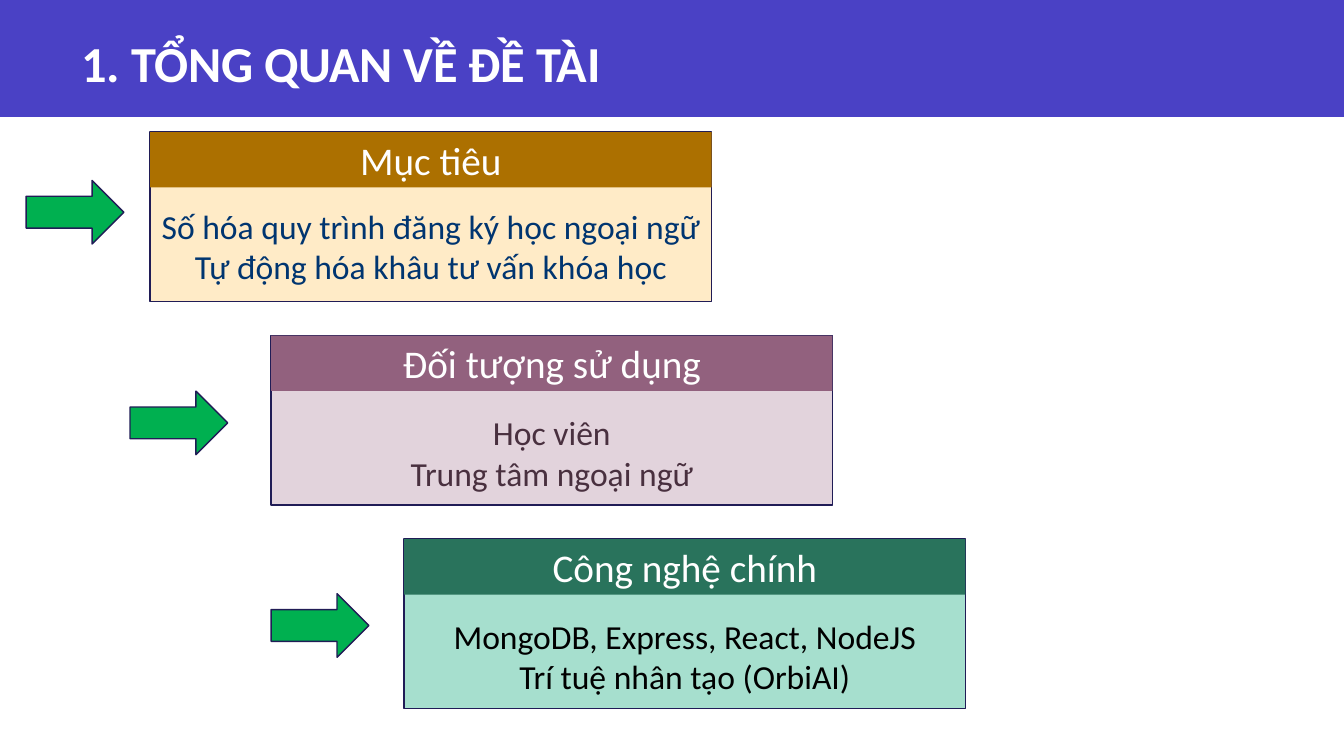
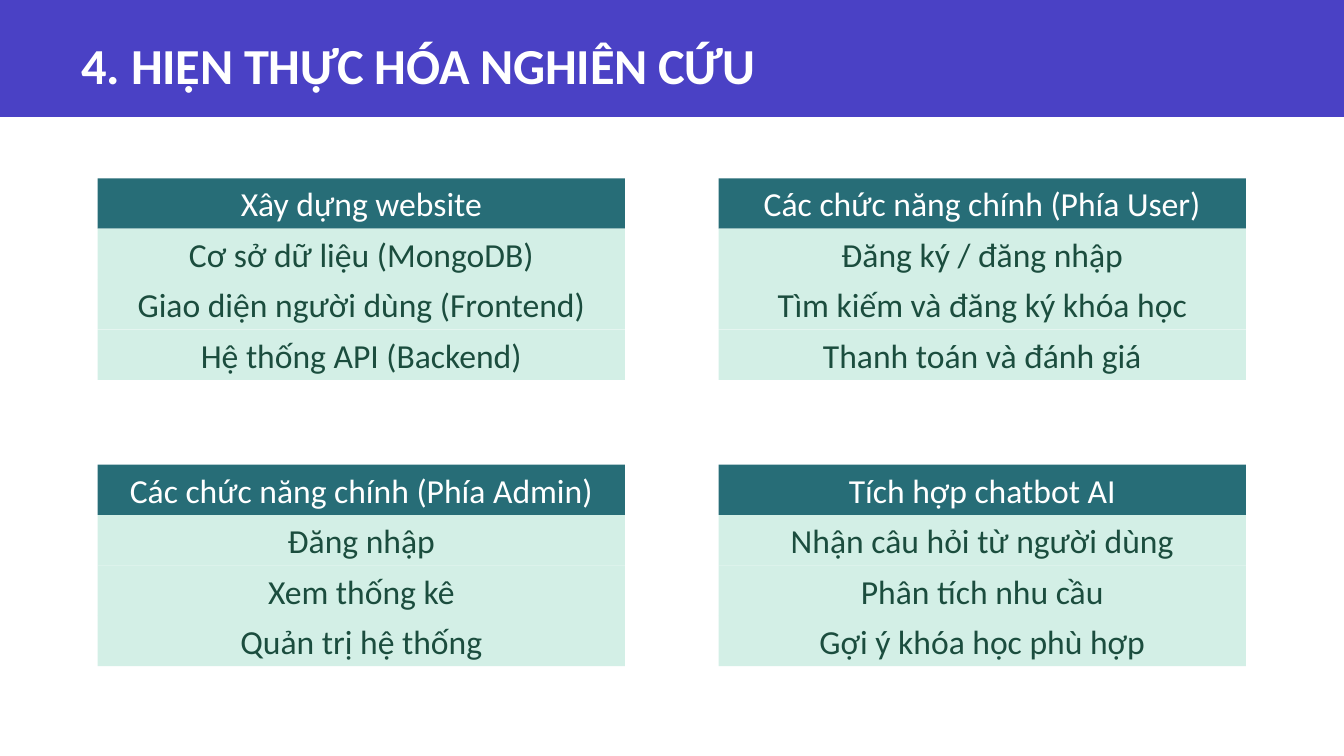
from dataclasses import dataclass

from lxml import etree
from pptx import Presentation
from pptx.dml.color import RGBColor
from pptx.enum.shapes import MSO_SHAPE
from pptx.enum.text import MSO_ANCHOR, MSO_AUTO_SIZE, PP_ALIGN
from pptx.oxml.ns import qn
from pptx.shapes.autoshape import Shape
from pptx.shapes.shapetree import GroupShapes, SlideShapes
from pptx.slide import Slide
from pptx.text.text import TextFrame
from pptx.util import Pt

RECTANGLE = MSO_SHAPE.RECTANGLE
FOLDED_CORNER = MSO_SHAPE.FOLDED_CORNER
RIGHT_ARROW = MSO_SHAPE.RIGHT_ARROW
TOP, MIDDLE, BOTTOM = MSO_ANCHOR.TOP, MSO_ANCHOR.MIDDLE, MSO_ANCHOR.BOTTOM
LEFT, CENTER = PP_ALIGN.LEFT, PP_ALIGN.CENTER
NO_AUTOFIT = MSO_AUTO_SIZE.NONE
TITLE_ONLY = 5


@dataclass(frozen=True)
class Theme:
    font: str = "Calibri"
    title_size: float = 36
    heading_size: float = 28
    body_size: float = 24
    title_spacing: str = "-20"
    band: str = "4A41C5"
    on_dark: str = "FFFFFF"
    outline: str = "201C56"
    arrow: str = "00B050"
    list_head: str = "276D77"
    list_row: str = "D3EFE6"
    list_text: str = "1B4D3E"


@dataclass(frozen=True)
class Box:
    left: float
    top: float
    width: float
    height: float

    def lengths(self) -> tuple[Pt, Pt, Pt, Pt]:
        return Pt(self.left), Pt(self.top), Pt(self.width), Pt(self.height)


@dataclass(frozen=True)
class Topic:
    heading: str
    lines: tuple[str, ...]
    left: float
    text_offset: float
    arrow_left: float
    arrow_top: float
    head_fill: str
    body_fill: str
    text_color: str


@dataclass(frozen=True)
class FeatureList:
    heading: str
    rows: tuple[str, ...]


THEME = Theme()
SLIDE_WIDTH, SLIDE_HEIGHT = 960, 540
BAND = Box(0, 0, SLIDE_WIDTH, 83.5)
TITLE_LEFT, TITLE_WIDTH = 51.1, 848.9

CARD_TOP, CARD_STEP = 94.3, 145.4
CARD_WIDTH, CARD_HEIGHT = 401, 121
CARD_HEAD_HEIGHT, CARD_TEXT_HEIGHT = 39.6, 65.5
ARROW_WIDTH, ARROW_HEIGHT = 69.8, 45.4

LIST_LEFT, LIST_TOP = 69.8, 127.4
LIST_COLUMN_STEP, LIST_ROW_STEP = 443.5, 204.5
LIST_WIDTH, LIST_ROW_HEIGHT = 376.6, 36
LIST_COLUMNS = 2

TOPICS = (
    Topic("Mục tiêu",
          ("Số hóa quy trình đăng ký học ngoại ngữ", "Tự động hóa khâu tư vấn khóa học"),
          107.3, 49, 18.7, 128.9, "AC7000", "FFEBC7", "003570"),
    Topic("Đối tượng sử dụng",
          ("Học viên", "Trung tâm ngoại ngữ"),
          193.7, 51.1, 92.9, 279.4, "92617E", "E2D3DC", "49303F"),
    Topic("Công nghệ chính",
          ("MongoDB, Express, React, NodeJS", "Trí tuệ nhân tạo (OrbiAI)"),
          288.7, 51.1, 193.7, 424.1, "29735C", "A6DFCE", "000000"),
)

FEATURE_LISTS = (
    FeatureList("Xây dựng website",
                ("Cơ sở dữ liệu (MongoDB)", "Giao diện người dùng (Frontend)",
                 "Hệ thống API (Backend)")),
    FeatureList("Các chức năng chính (Phía User)",
                ("Đăng ký / đăng nhập", "Tìm kiếm và đăng ký khóa học",
                 "Thanh toán và đánh giá")),
    FeatureList("Các chức năng chính (Phía Admin)",
                ("Đăng nhập", "Xem thống kê", "Quản trị hệ thống")),
    FeatureList("Tích hợp chatbot AI",
                ("Nhận câu hỏi từ người dùng", "Phân tích nhu cầu",
                 "Gợi ý khóa học phù hợp")),
)


def write_lines(frame: TextFrame, lines: tuple[str, ...], size: float, color: str,
                anchor: MSO_ANCHOR = MIDDLE, align: PP_ALIGN = CENTER,
                bold: bool = False) -> None:
    frame_format = {"word_wrap": True, "auto_size": NO_AUTOFIT, "vertical_anchor": anchor,
                    "margin_left": 0, "margin_right": 0}
    font_format = {"name": THEME.font, "size": Pt(size), "bold": bold}
    for attribute, value in frame_format.items():
        setattr(frame, attribute, value)
    for index, line in enumerate(lines):
        paragraph = frame.paragraphs[0] if index == 0 else frame.add_paragraph()
        paragraph.alignment = align
        run = paragraph.add_run()
        run.text = line
        for attribute, value in font_format.items():
            setattr(run.font, attribute, value)
        run.font.color.rgb = RGBColor.from_string(color)


def draw_shape(shapes: SlideShapes | GroupShapes, preset: MSO_SHAPE, box: Box,
               fill: str, outlined: bool = False) -> Shape:
    drawn = shapes.add_shape(preset, *box.lengths())
    drawn.shadow.inherit = False
    drawn.fill.solid()
    drawn.fill.fore_color.rgb = RGBColor.from_string(fill)
    if outlined:
        drawn.line.color.rgb = RGBColor.from_string(THEME.outline)
        drawn.line.width = Pt(1)
    else:
        drawn.line.fill.background()
    return drawn


def flatten_fold(panel: Shape) -> None:
    geometry = next(panel.element.iter(qn("a:prstGeom")))
    guides = geometry.find(qn("a:avLst"))
    if guides is None:
        guides = etree.SubElement(geometry, qn("a:avLst"))
    etree.SubElement(guides, qn("a:gd"), name="adj", fmla="val 0")


def set_title(slide: Slide, text: str, top: float, height: float) -> None:
    title = slide.shapes.title
    box = Box(TITLE_LEFT, top, TITLE_WIDTH, height)
    for attribute, value in zip(("left", "top", "width", "height"), box.lengths()):
        setattr(title, attribute, value)
    frame = title.text_frame
    write_lines(frame, (text,), THEME.title_size, THEME.on_dark, BOTTOM, LEFT, True)
    margins = {"margin_left": Pt(7.2), "margin_top": 0, "margin_bottom": 0}
    for attribute, value in margins.items():
        setattr(frame, attribute, value)
    run = frame.paragraphs[0].runs[0]
    run._r.get_or_add_rPr().set("spc", THEME.title_spacing)


def draw_topic(slide: Slide, topic: Topic, top: float) -> None:
    card = slide.shapes.add_group_shape().shapes
    panel = draw_shape(card, FOLDED_CORNER, Box(topic.left, top, CARD_WIDTH, CARD_HEIGHT),
                       topic.body_fill, True)
    flatten_fold(panel)
    head = draw_shape(card, RECTANGLE, Box(topic.left, top, CARD_WIDTH, CARD_HEAD_HEIGHT),
                      topic.head_fill)
    write_lines(head.text_frame, (topic.heading,), THEME.heading_size, THEME.on_dark)
    text_box = Box(topic.left, top + topic.text_offset, CARD_WIDTH, CARD_TEXT_HEIGHT)
    details = card.add_textbox(*text_box.lengths())
    write_lines(details.text_frame, topic.lines, THEME.body_size, topic.text_color, TOP)


def draw_feature_list(slide: Slide, features: FeatureList, left: float, top: float) -> None:
    group = slide.shapes.add_group_shape().shapes
    for index, text in enumerate((features.heading, *features.rows)):
        fill, color = ((THEME.list_head, THEME.on_dark) if index == 0
                       else (THEME.list_row, THEME.list_text))
        row = draw_shape(group, RECTANGLE,
                         Box(left, top + index * LIST_ROW_HEIGHT, LIST_WIDTH, LIST_ROW_HEIGHT),
                         fill)
        write_lines(row.text_frame, (text,), THEME.body_size, color)


def build_overview(slide: Slide) -> None:
    set_title(slide, "1. TỔNG QUAN VỀ ĐỀ TÀI", 20.9, 45.4)
    for index, topic in enumerate(TOPICS):
        draw_topic(slide, topic, CARD_TOP + index * CARD_STEP)
    for topic in TOPICS:
        draw_shape(slide.shapes, RIGHT_ARROW,
                   Box(topic.arrow_left, topic.arrow_top, ARROW_WIDTH, ARROW_HEIGHT),
                   THEME.arrow, True)


def build_implementation(slide: Slide) -> None:
    set_title(slide, "4. HIỆN THỰC HÓA NGHIÊN CỨU", 17.3, 50)
    for index, features in enumerate(FEATURE_LISTS):
        row, column = divmod(index, LIST_COLUMNS)
        draw_feature_list(slide, features, LIST_LEFT + column * LIST_COLUMN_STEP,
                          LIST_TOP + row * LIST_ROW_STEP)


def main() -> None:
    deck = Presentation()
    deck.slide_width, deck.slide_height = Pt(SLIDE_WIDTH), Pt(SLIDE_HEIGHT)
    layout = deck.slide_layouts[TITLE_ONLY]
    overview = deck.slides.add_slide(layout)
    band = draw_shape(overview.shapes, RECTANGLE, BAND, THEME.band)
    layout.shapes.element.insert(2, band.element)
    build_overview(overview)
    build_implementation(deck.slides.add_slide(layout))
    deck.save("out.pptx")


if __name__ == "__main__":
    main()
